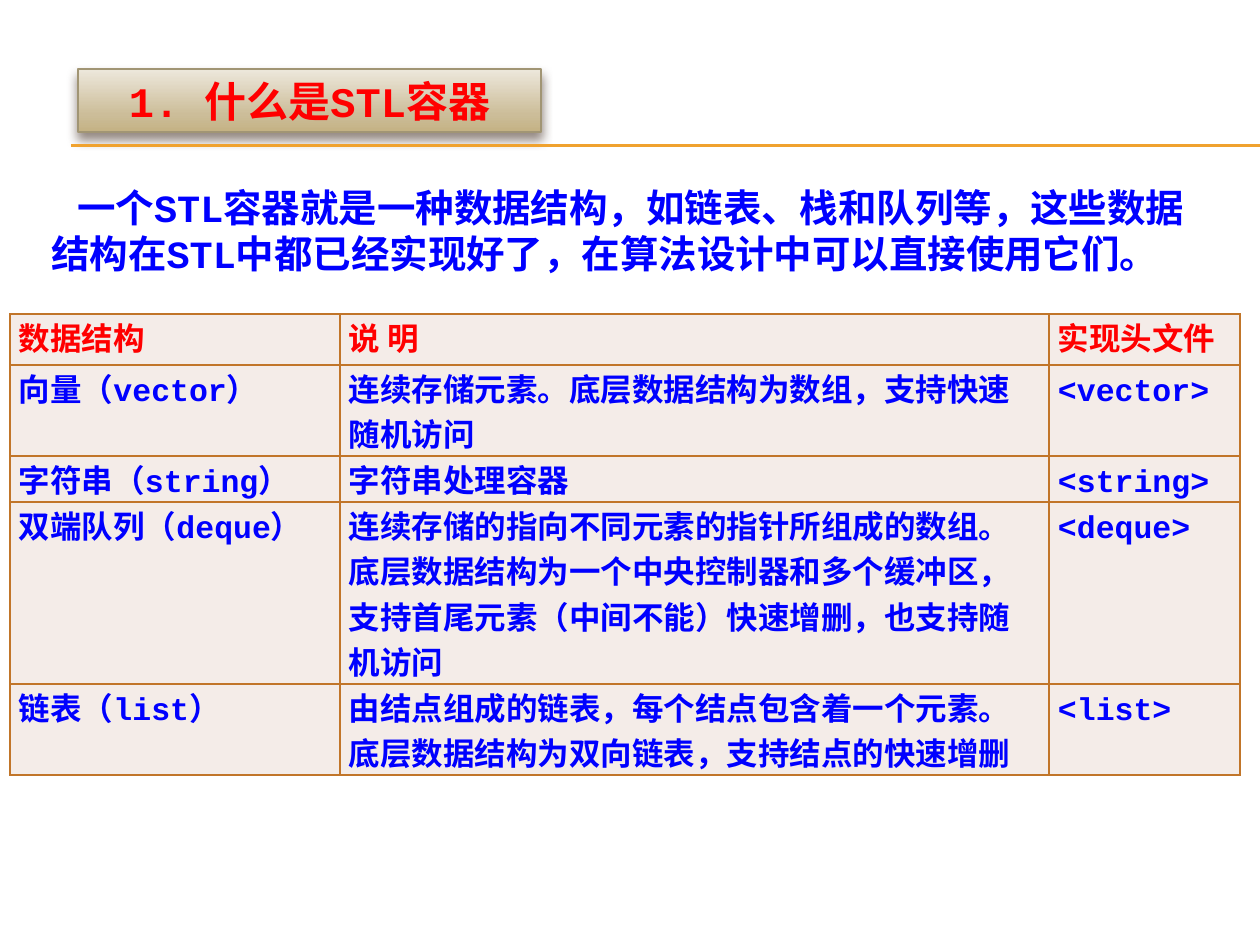
from dataclasses import dataclass
from typing import NamedTuple

from lxml.etree import SubElement as Sub
from pptx import Presentation
from pptx.dml.color import RGBColor as Rgb
from pptx.enum.shapes import MSO_CONNECTOR as Conn
from pptx.enum.text import MSO_ANCHOR as Anchor, MSO_AUTO_SIZE as Auto, PP_ALIGN as Align
from pptx.oxml import parse_xml
from pptx.oxml.ns import nsdecls, qn
from pptx.util import Emu, Pt


@dataclass(frozen=True)
class Theme:
    red: str = "FF0000"
    blue: str = "0000FF"
    rule: str = "F0A22E"
    edge: str = "A19574"
    grid: str = "C17529"
    cell: str = "F4ECE8"
    shade: str = "4E3B30"
    ramp: tuple = ((0, "EDE8DC"), (72, "CCBD99"), (100, "C4B284"))
    mono: str = "Courier New"
    serif: str = "Times New Roman"
    title: int = 24
    body: int = 22
    table: int = 18
    lead: int = 26


class Box(NamedTuple):
    left: int
    top: int
    width: int
    height: int


class Row(NamedTuple):
    height: int
    name: str
    note: str
    header: str


THEME = Theme()
SCALE = 914400 / 126
TITLE = Box(78, 69, 463, 63)
INTRO = Box(39, 178, 1191, 106)
COLS = (330, 709, 191)
ROWS = (
    Row(51, "数据结构", "说 明", "实现头文件"),
    Row(91, "向量（vector）", "连续存储元素。底层数据结构为数组，支持快速随机访问", "<vector>"),
    Row(46, "字符串（string）", "字符串处理容器", "<string>"),
    Row(182, "双端队列（deque）",
        "连续存储的指向不同元素的指针所组成的数组。底层数据结构为一个中央控制器和多个缓冲区，"
        "支持首尾元素（中间不能）快速增删，也支持随机访问", "<deque>"),
    Row(91, "链表（list）",
        "由结点组成的链表，每个结点包含着一个元素。底层数据结构为双向链表，支持结点的快速增删", "<list>"),
)
GRID = Box(10, 314, sum(COLS), sum(row.height for row in ROWS))


def px(num: int) -> Emu:
    return Emu(round(num * SCALE))


def style(para, size: int, face: str, color: str) -> None:
    font = para.font
    font.size, font.name, font.bold = Pt(size), face, True
    font.color.rgb = Rgb.from_string(color)


def add_rule(slide, top: int) -> None:
    line = slide.shapes.add_connector(Conn.STRAIGHT, px(71), px(top), px(1260), px(top))
    line.line.color.rgb = Rgb.from_string(THEME.rule)
    line.line.width = Pt(0.75)
    Sub(line._element.spPr, qn("a:effectLst"))


def add_title(slide, text: str) -> None:
    shape = slide.shapes.title
    shape.left, shape.top, shape.width, shape.height = map(px, TITLE)
    stops = "".join(f'<a:gs pos="{pos * 1000}"><a:srgbClr val="{color}"/></a:gs>'
                    for pos, color in THEME.ramp)
    props = shape._element.spPr
    props.append(parse_xml(f'<a:prstGeom {nsdecls("a")} prst="rect"><a:avLst/></a:prstGeom>'))
    props.append(parse_xml(f'<a:gradFill {nsdecls("a")}><a:gsLst>{stops}</a:gsLst>'
                           '<a:lin ang="5400000" scaled="0"/></a:gradFill>'))
    shape.line.color.rgb = Rgb.from_string(THEME.edge)
    shape.line.width = Pt(0.79)
    props.append(parse_xml(
        f'<a:effectLst {nsdecls("a")}><a:outerShdw blurRad="{Pt(6)}" dist="{Pt(4)}" '
        f'dir="5400000" rotWithShape="0"><a:srgbClr val="{THEME.shade}">'
        '<a:alpha val="60000"/></a:srgbClr></a:outerShdw></a:effectLst>'))
    frame = shape.text_frame
    frame.text = text
    frame.auto_size = Auto.NONE
    frame.vertical_anchor = Anchor.MIDDLE
    para = frame.paragraphs[0]
    para.alignment = Align.CENTER
    style(para, THEME.title, THEME.mono, THEME.red)


def add_intro(slide, text: str) -> None:
    frame = slide.shapes.add_textbox(*map(px, INTRO)).text_frame
    frame.word_wrap = True
    frame.text = text
    para = frame.paragraphs[0]
    para._p.get_or_add_pPr().set("indent", str(px(26)))
    style(para, THEME.body, THEME.mono, THEME.blue)


def fill_cell(cell, text: str, head: bool, just: bool) -> None:
    cell.margin_left = cell.margin_right = px(9)
    cell.margin_top = cell.margin_bottom = 0
    cell.fill.solid()
    cell.fill.fore_color.rgb = Rgb.from_string(THEME.cell)
    props = cell._tc.get_or_add_tcPr()
    for slot, side in enumerate(("lnL", "lnR", "lnT", "lnB")):
        props.insert(slot, parse_xml(
            f'<a:{side} {nsdecls("a")} w="{Pt(1)}"><a:solidFill>'
            f'<a:srgbClr val="{THEME.grid}"/></a:solidFill></a:{side}>'))
    cell.text = text
    para = cell.text_frame.paragraphs[0]
    para.alignment = Align.JUSTIFY if just else Align.LEFT
    para.line_spacing = Pt(THEME.lead)
    style(para, THEME.table, THEME.serif if head else THEME.mono,
          THEME.red if head else THEME.blue)


def add_grid(slide) -> None:
    table = slide.shapes.add_table(len(ROWS), len(COLS), *map(px, GRID)).table
    table.first_row = table.horz_banding = False
    for col, width in zip(table.columns, COLS):
        col.width = px(width)
    for y, row in enumerate(ROWS):
        table.rows[y].height = px(row.height)
        for x, text in enumerate(row[1:]):
            fill_cell(table.cell(y, x), text, y == 0, y == 0 or x == 2)


def main() -> None:
    deck = Presentation()
    deck.slide_width, deck.slide_height = px(1260), px(945)
    slide = deck.slides.add_slide(deck.slide_layouts[5])
    for top in (145, 146):
        add_rule(slide, top)
    add_title(slide, "1. 什么是STL容器")
    add_grid(slide)
    add_intro(slide, "一个STL容器就是一种数据结构，如链表、栈和队列等，这些数据结构在STL中"
                     "都已经实现好了，在算法设计中可以直接使用它们。")
    deck.save("out.pptx")


if __name__ == "__main__":
    main()
